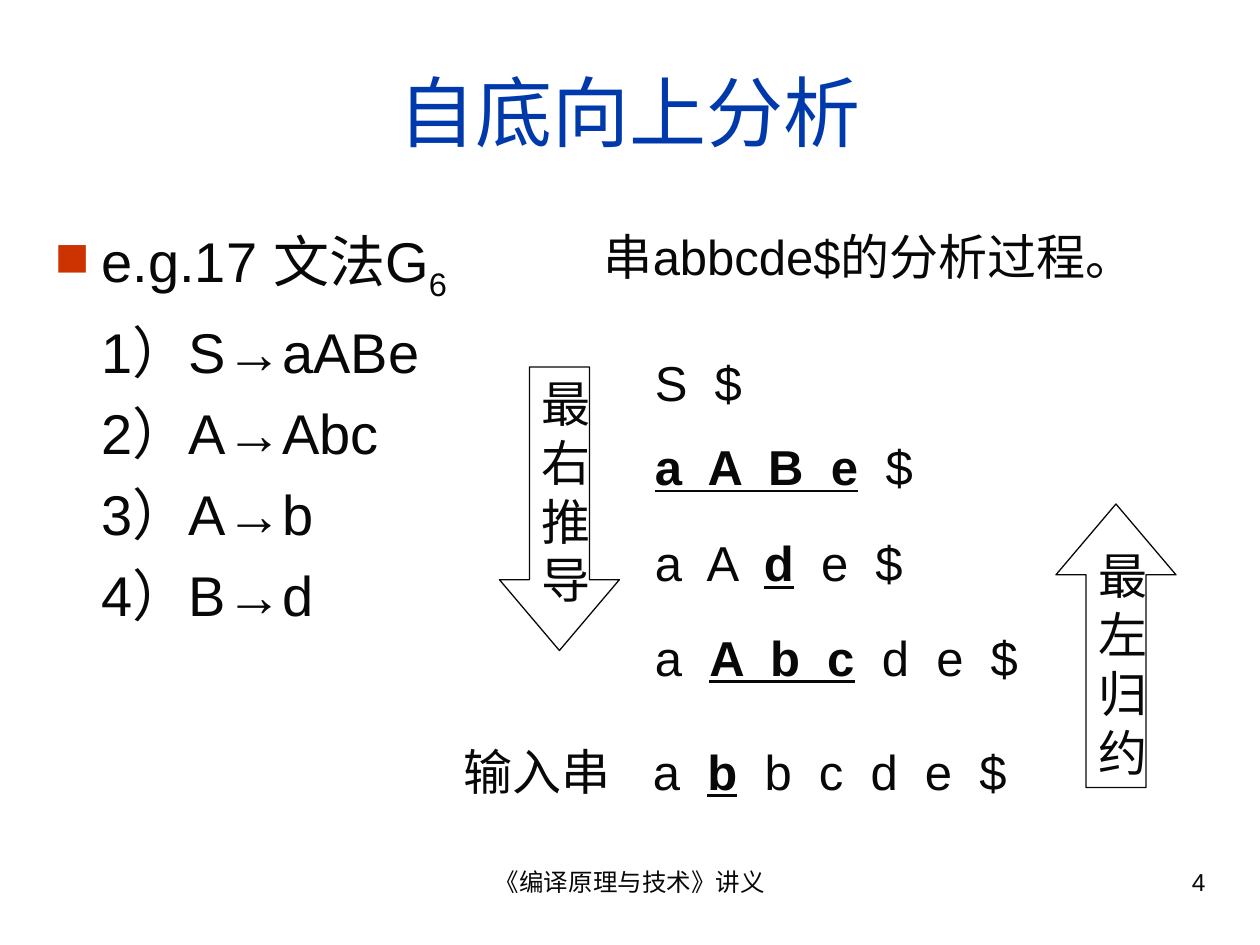
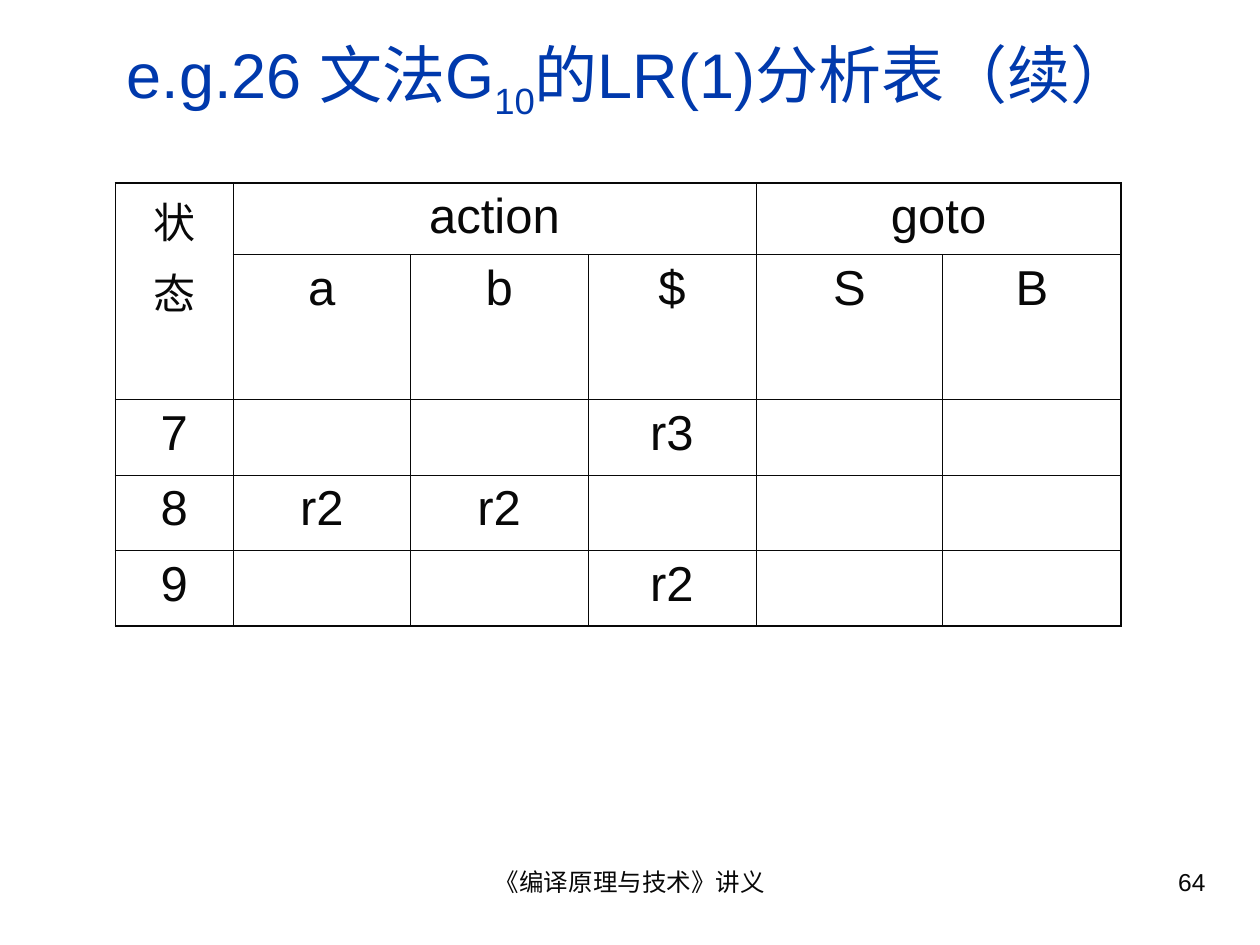
"""Builds two lecture slides on bottom-up parsing and an LR(1) table."""
from dataclasses import dataclass

import lxml.etree
import pptx
import pptx.dml.color
import pptx.enum.shapes
import pptx.enum.text
import pptx.oxml
import pptx.oxml.ns
import pptx.util

Pt = pptx.util.Pt
RGBColor = pptx.dml.color.RGBColor
Align = pptx.enum.text.PP_ALIGN
Anchor = pptx.enum.text.MSO_ANCHOR
Shapes = pptx.enum.shapes.MSO_SHAPE
qn = pptx.oxml.ns.qn


@dataclass(frozen=True)
class Theme:
    font: str = "Arial"
    ink: str = "080808"
    title: str = "0039AC"
    bullet: str = "CC3300"
    title_size: float = 44
    long_title_size: float = 36
    body_size: float = 32
    text_size: float = 28
    state_size: float = 24
    footer_size: float = 14
    thin: float = 0.45
    outline: float = 0.75
    thick: float = 1.08


theme = Theme()


def write(frame, paragraphs, size=theme.text_size, color=theme.ink, align=Align.LEFT,
          anchor=None, space_before=0, margin=0, bullet=None, tab=None, spread=0):
    """Fill a text frame with paragraphs, each a string or a list of (text, style) runs."""
    frame.word_wrap = True
    if anchor is not None:
        frame.vertical_anchor = anchor
    for index, runs in enumerate(paragraphs):
        paragraph = frame.add_paragraph() if index else frame.paragraphs[0]
        properties = paragraph._p.get_or_add_pPr()
        properties.set("marL", str(Pt(margin)))
        properties.set("indent", "0")
        if bullet and index == 0:
            properties.set("indent", str(-Pt(margin)))
            bullet_color = lxml.etree.SubElement(properties, qn("a:buClr"))
            lxml.etree.SubElement(bullet_color, qn("a:srgbClr"), val=theme.bullet)
            lxml.etree.SubElement(properties, qn("a:buSzPct"), val="85000")
            lxml.etree.SubElement(properties, qn("a:buChar"), char=bullet)
        if tab:
            tabs = lxml.etree.SubElement(properties, qn("a:tabLst"))
            lxml.etree.SubElement(tabs, qn("a:tab"), pos=str(Pt(tab)), algn="l")
        paragraph.alignment = align
        paragraph.space_before = Pt(space_before if index else 0)
        for text, style in [(runs, "plain")] if isinstance(runs, str) else runs:
            run = paragraph.add_run()
            run.text = text
            run.font.name = theme.font
            run.font.size = Pt(size)
            run.font.color.rgb = RGBColor.from_string(color)
            if style == "handle":
                run.font.bold = run.font.underline = True
            if style == "subscript":
                run.font._element.set("baseline", "-25000")
            if spread and style != "label":
                run.font._element.set("spc", str(round(spread * 100)))


def add_text(slide, box, paragraphs, **text_format):
    """Add a text box at (left, top, width, height) in points."""
    shape = slide.shapes.add_textbox(*map(Pt, box))
    write(shape.text_frame, paragraphs, **text_format)


presentation = pptx.Presentation()
presentation.slide_width, presentation.slide_height = Pt(720), Pt(540)

slides = []
for title, title_size, title_height, number in [
    ("自底向上分析", theme.title_size, 90, "4"),
    ([("e.g.26 文法G", "plain"), ("10", "subscript"), ("的LR(1)分析表（续）", "plain")],
     theme.long_title_size, 54, "64"),
]:
    slide = presentation.slides.add_slide(presentation.slide_layouts[6])
    slides.append(slide)
    add_text(slide, (246, 492, 228, 37.5), ["《编译原理与技术》讲义"],
             size=theme.footer_size, align=Align.CENTER)
    add_text(slide, (516, 492, 180, 37.5), [number],
             size=theme.footer_size, align=Align.RIGHT)
    add_text(slide, (24, 18, 672, title_height), [title], size=title_size,
             color=theme.title, align=Align.CENTER, anchor=Anchor.MIDDLE)

parsing_slide, table_slide = slides

grammar = [[("e.g.17 文法G", "plain"), ("6", "subscript")],
           "1）S→aABe", "2）A→Abc", "3）A→b", "4）B→d"]
add_text(parsing_slide, (24, 126, 240, 354), grammar, size=theme.body_size,
         space_before=8, margin=27, bullet="■")
add_text(parsing_slide, (338, 126, 340, 41), ["串abbcde$的分析过程。"])

string_indent = 109.2
for top, runs in [
    (198, [("S $", "plain")]),
    (246, [("a A B e", "handle"), (" $", "plain")]),
    (301, [("a A ", "plain"), ("d", "handle"), (" e $", "plain")]),
    (355, [("a ", "plain"), ("A b c", "handle"), (" d e $", "plain")]),
    (420, [("输入串\t", "label"), ("a ", "plain"), ("b", "handle"), (" b c d e $", "plain")]),
]:
    labelled = runs[0][1] == "label"
    add_text(parsing_slide, (258, top, 354, 41), [runs], spread=3.9,
             margin=0 if labelled else string_indent, tab=string_indent if labelled else None)

for kind, left, top, label in [
    (Shapes.UP_ARROW, 603.4, 288, "最左归约"),
    (Shapes.DOWN_ARROW, 285.4, 209.7, "最右推导"),
]:
    arrow = parsing_slide.shapes.add_shape(kind, Pt(left), Pt(top), Pt(68.6), Pt(162))
    arrow.adjustments[0], arrow.adjustments[1] = 0.5, 0.59
    arrow.shadow.inherit = False
    arrow.fill.background()
    arrow.line.color.rgb = RGBColor.from_string(theme.ink)
    arrow.line.width = Pt(theme.outline)
    write(arrow.text_frame, [label], align=Align.CENTER, anchor=Anchor.MIDDLE)
    arrow.text_frame.auto_size = pptx.enum.text.MSO_AUTO_SIZE.SHAPE_TO_FIT_TEXT

column_widths = [67.2, 101.4, 101.4, 96, 106.8, 102]
row_heights = [40.6, 82.8, 43.2, 43.2, 43.2]
parsing_rows = [
    ["", "action", "", "", "goto", ""],
    ["", "a", "b", "$", "S", "B"],
    ["7", "", "", "r3", "", ""],
    ["8", "r2", "r2", "", "", ""],
    ["9", "", "", "r2", "", ""],
]
row_count, column_count = len(row_heights), len(column_widths)
table = table_slide.shapes.add_table(
    row_count, column_count, Pt(66), Pt(104.6),
    Pt(sum(column_widths)), Pt(sum(row_heights))).table
table.first_row = table.horz_banding = False
for column, width in zip(table.columns, column_widths):
    column.width = Pt(width)
for row, height in zip(table.rows, row_heights):
    row.height = Pt(height)
table.cell(0, 0).merge(table.cell(1, 0))
table.cell(0, 1).merge(table.cell(0, 3))
table.cell(0, 4).merge(table.cell(0, 5))
write(table.cell(0, 0).text_frame, ["状", "态"], size=theme.state_size,
      align=Align.CENTER, space_before=6)

for row_index, row in enumerate(parsing_rows):
    for column_index, text in enumerate(row):
        cell = table.cell(row_index, column_index)
        if text:
            write(cell.text_frame, [text], align=Align.CENTER)
        properties = cell._tc.get_or_add_tcPr()
        if not cell.is_spanned:
            width_span = cell.span_width if cell.is_merge_origin else 1
            height_span = cell.span_height if cell.is_merge_origin else 1
            for side, is_outer in [
                ("a:lnL", column_index == 0),
                ("a:lnR", column_index + width_span == column_count),
                ("a:lnT", row_index == 0),
                ("a:lnB", row_index + height_span == row_count),
            ]:
                border = lxml.etree.SubElement(
                    properties, qn(side), w=str(Pt(theme.thick if is_outer else theme.thin)))
                border_fill = lxml.etree.SubElement(border, qn("a:solidFill"))
                lxml.etree.SubElement(border_fill, qn("a:srgbClr"), val=theme.ink)
        cell.fill.background()

presentation.save("out.pptx")
